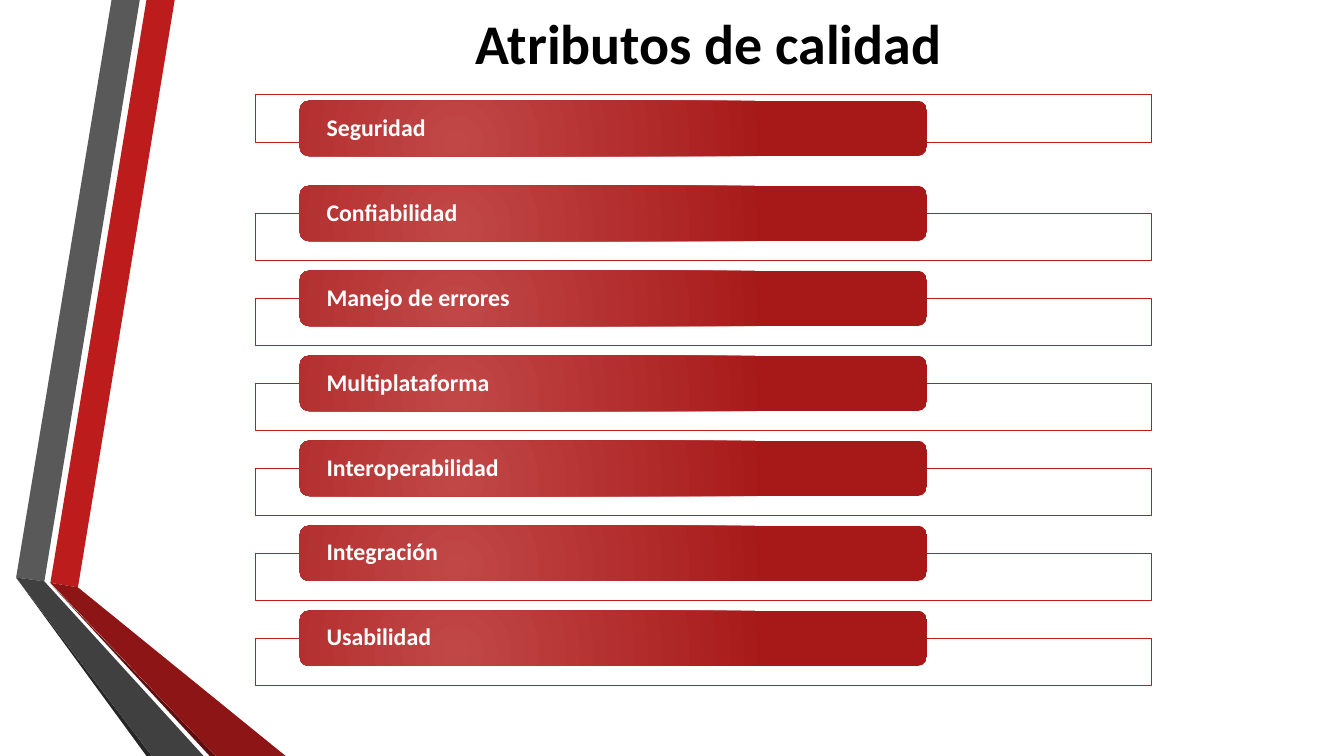
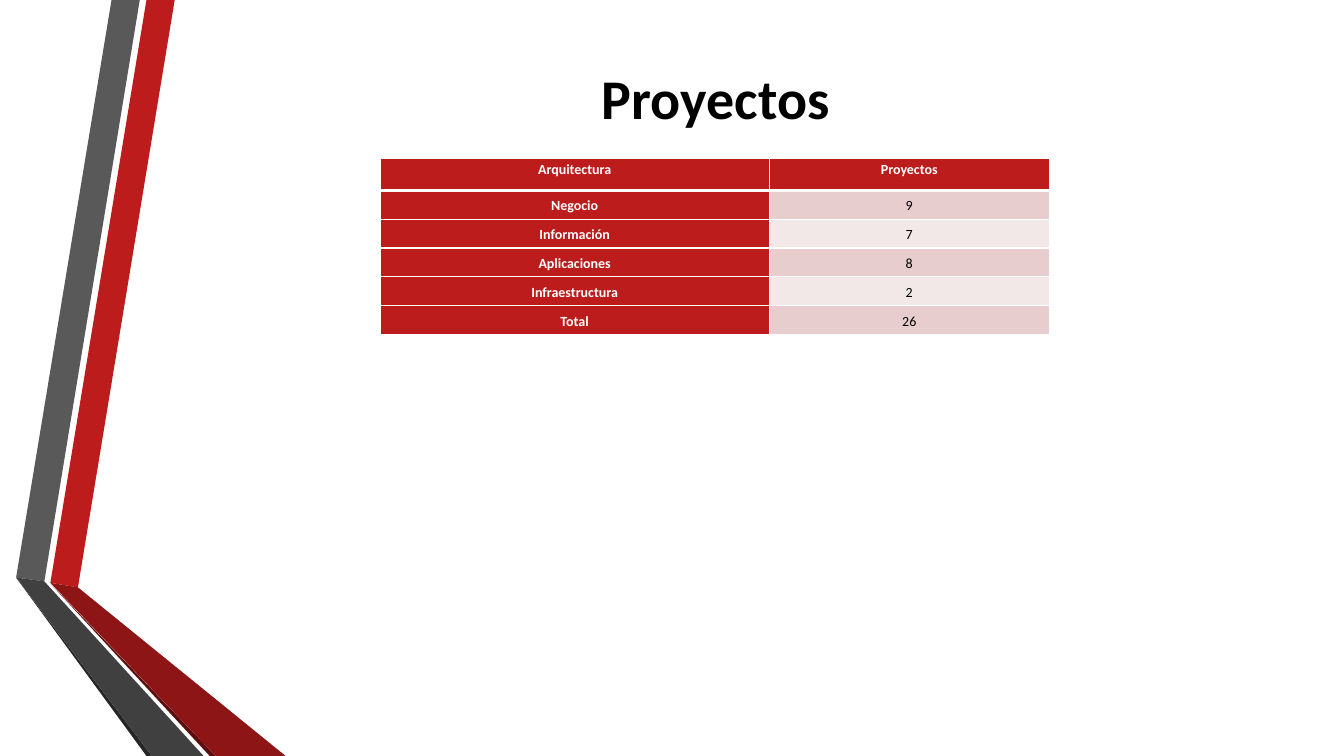
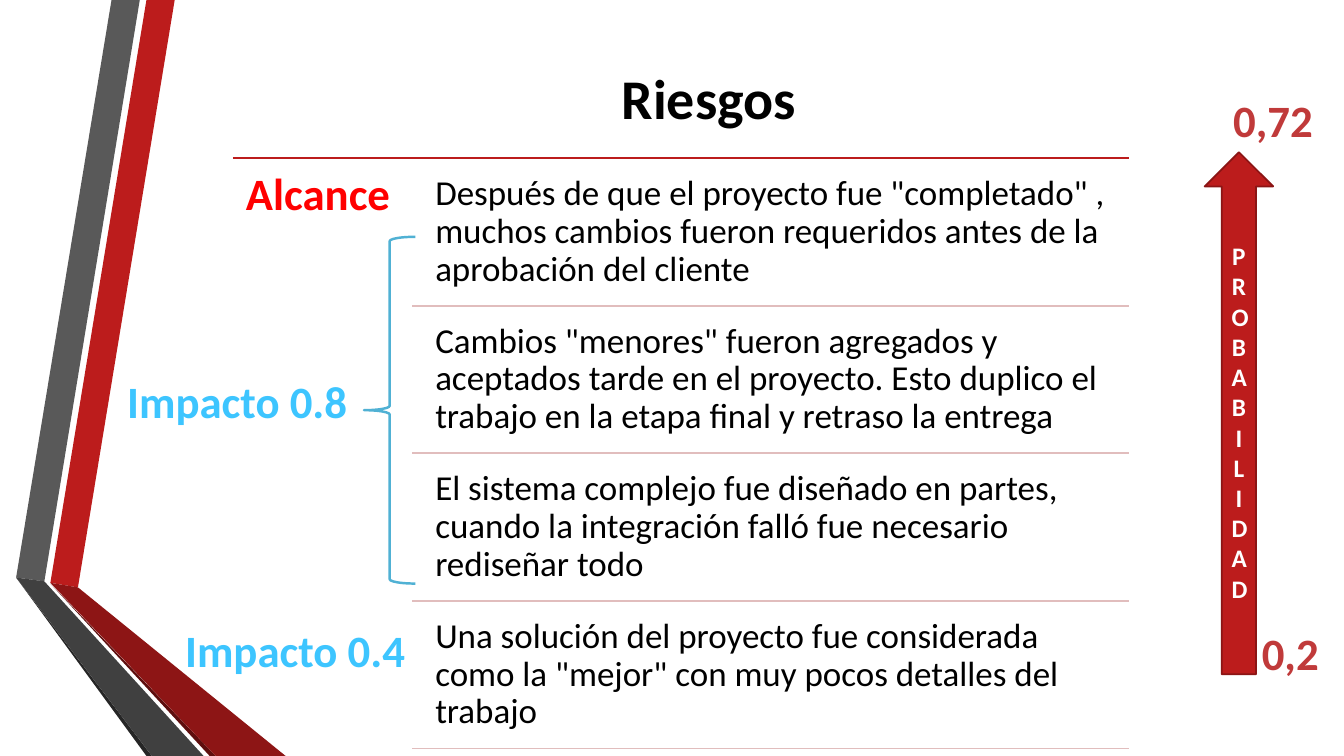
from lxml import etree
from pptx import Presentation, util as u
from pptx.dml.color import RGBColor
from pptx.enum import shapes, text
from pptx.oxml import parse_xml
from pptx.oxml.ns import nsdecls, qn

W, H = u.Inches(13.33), u.Inches(7.5)
FONT = "Calibri"
WHITE = RGBColor(0xFF, 0xFF, 0xFF)
BLACK = RGBColor(0, 0, 0)
RED = RGBColor(0xBC, 0x1C, 0x1C)
EDGE = RGBColor(0x8B, 0x15, 0x15)
PINK = RGBColor(0xE1, 0xBD, 0xBD)
ROSE = RGBColor(0xE7, 0xCD, 0xCD)
PALE = RGBColor(0xF3, 0xE8, 0xE8)
SCARLET = RGBColor(0xFF, 0, 0)
BRICK = RGBColor(0xC0, 0x3A, 0x3A)
SKY = RGBColor(0x3D, 0xC5, 0xFF)
BLUE = RGBColor(0x50, 0xB1, 0xD4)

# Points are percentages of the slide's width and height.
BANDS = [
    (RED, [(3.75, 77.1), (5.8, 77.7), (13, 0), (10.9, 0)]),
    (RGBColor(0x59, 0x59, 0x59), [(10.4, 0), (8.3, 0), (1.2, 76.4), (3.3, 76.9)]),
    (RGBColor(0x26, 0x26, 0x26), [(1.2, 76.4), (10.9, 100), (11.3, 100)]),
    (RGBColor(0x5E, 0x0E, 0x0E), [(3.75, 77.2), (15.6, 100), (16.05, 100)]),
    (RGBColor(0x8D, 0x15, 0x15),
     [(3.75, 77.1), (16.05, 100), (21.25, 100), (5.8, 77.7)]),
    (RGBColor(0x40, 0x40, 0x40),
     [(15.15, 100), (3.3, 76.9), (1.2, 76.4), (11.3, 100)]),
]
TRAITS = ["Seguridad", "Confiabilidad", "Manejo de errores", "Multiplataforma",
          "Interoperabilidad", "Integración", "Usabilidad"]
ROWS = [("Arquitectura", "Proyectos"), ("Negocio", "9"), ("Información", "7"),
        ("Aplicaciones", "8"), ("Infraestructura", "2"), ("Total", "26")]
RISKS = [
    'Después de que el proyecto fue "completado" , muchos cambios fueron '
    'requeridos antes de la aprobación del cliente',
    'Cambios "menores" fueron agregados y aceptados tarde en el proyecto. Esto '
    'duplico el trabajo en la etapa final y retraso la entrega',
    'El sistema complejo fue diseñado en partes, cuando la integración falló fue '
    'necesario rediseñar todo',
    'Una solución del proyecto fue considerada como la "mejor" con muy pocos '
    'detalles del trabajo',
]


def across(x):
    return u.Emu(round(W * x / 100))


def down(y):
    return u.Emu(round(H * y / 100))


def area(x, y, w, h):
    return across(x), down(y), across(w), down(h)


def write(frame, words, size, color, bold=True, center=True, space=None):
    frame.text = words
    para = frame.paragraphs[0]
    para.alignment = text.PP_ALIGN.CENTER if center else text.PP_ALIGN.LEFT
    if space:
        para.line_spacing = space
    font = para.runs[0].font
    font.name, font.size, font.bold = FONT, u.Pt(size), bold
    font.color.rgb = color


def inset(frame, side, top):
    frame.margin_left = frame.margin_right = u.Inches(side)
    frame.margin_top = frame.margin_bottom = u.Inches(top)


def label(slide, place, words, size, color, wrap=True, **style):
    frame = slide.shapes.add_textbox(*area(*place)).text_frame
    frame.word_wrap = wrap
    write(frame, words, size, color, **style)
    return frame


def title(slide, words, x=11.63, h=25.6):
    frame = label(slide, (x, 0, 82.2, h), words, 40, BLACK)
    frame.vertical_anchor = text.MSO_ANCHOR.MIDDLE


def paint(shape, fill=None, line=None, width=1):
    """Set fill and line; None leaves that part empty."""
    shape.shadow.inherit = False
    if fill is None:
        shape.fill.background()
    else:
        shape.fill.solid()
        shape.fill.fore_color.rgb = fill
    if line is None:
        shape.line.fill.background()
    else:
        shape.line.color.rgb = line
        shape.line.width = u.Pt(width)


def block(slide, kind, place, **look):
    shape = slide.shapes.add_shape(kind, *area(*place))
    paint(shape, **look)
    return shape


def glow(shape):
    """Give the shape a round gradient."""
    props = shape.element.spPr
    old = props.find(qn("a:noFill"))
    props.replace(old, parse_xml(
        f'<a:gradFill {nsdecls("a")} rotWithShape="1"><a:gsLst>'
        '<a:gs pos="0"><a:srgbClr val="C14747"/></a:gs>'
        '<a:gs pos="100000"><a:srgbClr val="A71919"/></a:gs></a:gsLst>'
        '<a:path path="circle"><a:fillToRect l="50000" t="100000" '
        'r="100000" b="50000"/></a:path></a:gradFill>'))


def rule(slide, x, y, end, color):
    line = slide.shapes.add_connector(
        shapes.MSO_CONNECTOR.STRAIGHT, across(x), down(y), across(end), down(y))
    line.line.color.rgb = color
    line.line.width = u.Pt(1.25)
    etree.SubElement(line.element.spPr, qn("a:effectLst"))


def border(cell, below):
    props = cell._tc.get_or_add_tcPr()
    for i, side in enumerate("LRTB"):
        width = u.Pt(below if side == "B" else 1)
        props.insert(i, parse_xml(
            f'<a:ln{side} {nsdecls("a")} w="{width}"><a:solidFill>'
            f'<a:srgbClr val="{WHITE}"/></a:solidFill></a:ln{side}>'))


def brand(slide):
    """Draw the folded bands and move them to the slide's layout."""
    group = slide.shapes.add_group_shape()
    for color, points in BANDS:
        spots = [(across(x), down(y)) for x, y in points]
        pen = group.shapes.build_freeform(*spots[0])
        pen.add_line_segments(spots[1:], close=True)
        paint(pen.convert_to_shape(), fill=color)
    slide.slide_layout.shapes.element.append(group.element)


def traits(slide):
    first, pitch, drop = 13.33, 11.24, 3.65
    for i, name in enumerate(TRAITS):
        y = first + i * pitch
        top = y + drop if i else 12.53
        block(slide, shapes.MSO_SHAPE.RECTANGLE, (19, top, 66.67, 6.27),
              fill=WHITE, line=RED, width=0.75)
        pill = block(slide, shapes.MSO_SHAPE.ROUNDED_RECTANGLE,
                     (22.3, y, 46.67, 7.33))
        glow(pill)
        frame = pill.text_frame
        inset(frame, 0.24, 0)
        frame.vertical_anchor = text.MSO_ANCHOR.MIDDLE
        write(frame, name, 17, WHITE, center=False, space=0.9)
    title(slide, "Atributos de calidad", h=11.2)


def projects(slide):
    title(slide, "Proyectos", x=12.15)
    grid = slide.shapes.add_table(
        len(ROWS), 2, *area(28.28, 20.93, 49.8, 23.32)).table
    for col, width in zip(grid.columns, (28.95, 20.85)):
        col.width = across(width)
    for r, row in enumerate(ROWS):
        grid.rows[r].height = down(3.81 if r else 4.27)
        for c, words in enumerate(row):
            cell = grid.cell(r, c)
            head = r == 0 or c == 0
            inset(cell, 0.07, 0)
            if r:
                cell.vertical_anchor = text.MSO_ANCHOR.MIDDLE
            write(cell.text_frame, words, 10, WHITE if head else BLACK,
                  bold=head, space=1.15)
            cell.fill.solid()
            cell.fill.fore_color.rgb = RED if head else ROSE if r % 2 else PALE
            border(cell, 1 if r else 3)


def risks(slide):
    title(slide, "Riesgos")
    top, pitch, end = 20.93, 19.52, 84
    rule(slide, 17.33, top, end, RED)
    scope = label(slide, (17.33, top, 13.35, 100 - top), "Alcance", 32, SCARLET,
                  center=False, space=0.9)
    inset(scope, 0.13, 0.13)
    for i, words in enumerate(RISKS):
        y = top + i * pitch
        frame = label(slide, (31.65, y + 0.93, 52.35, 18.53), words, 25, BLACK,
                      bold=False, center=False, space=0.9)
        inset(frame, 0.1, 0.1)
        rule(slide, 30.68, y + pitch, end, PINK)

    arrow = block(slide, shapes.MSO_SHAPE.UP_ARROW, (89.63, 20.13, 5.1, 69.07),
                  fill=RED, line=EDGE, width=1.25)
    arrow.text_frame.word_wrap = True
    arrow.text_frame.vertical_anchor = text.MSO_ANCHOR.MIDDLE
    write(arrow.text_frame, "PROBABILIDAD", 18, WHITE)
    block(slide, shapes.MSO_SHAPE.LEFT_BRACE, (27.08, 31.33, 3.83, 45.87),
          line=BLUE, width=1.75)
    for words, x, y, w, color in [
            ("0,72", 90.9, 11.6, 7.65, BRICK), ("0,2", 92.63, 82.13, 6.75, BRICK),
            ("Impacto 0.8", 8.25, 48.8, 18.83, SKY),
            ("Impacto 0.4", 12.6, 81.73, 18.75, SKY)]:
        label(slide, (x, y, w, 8.53), words, 32, color, wrap=False)


def main():
    deck = Presentation()
    deck.slide_width, deck.slide_height = W, H
    blank = deck.slide_layouts[6]
    pages = [deck.slides.add_slide(blank) for _ in range(3)]
    brand(pages[0])
    for fill, page in zip((traits, projects, risks), pages):
        fill(page)
    deck.save("out.pptx")


if __name__ == "__main__":
    main()
